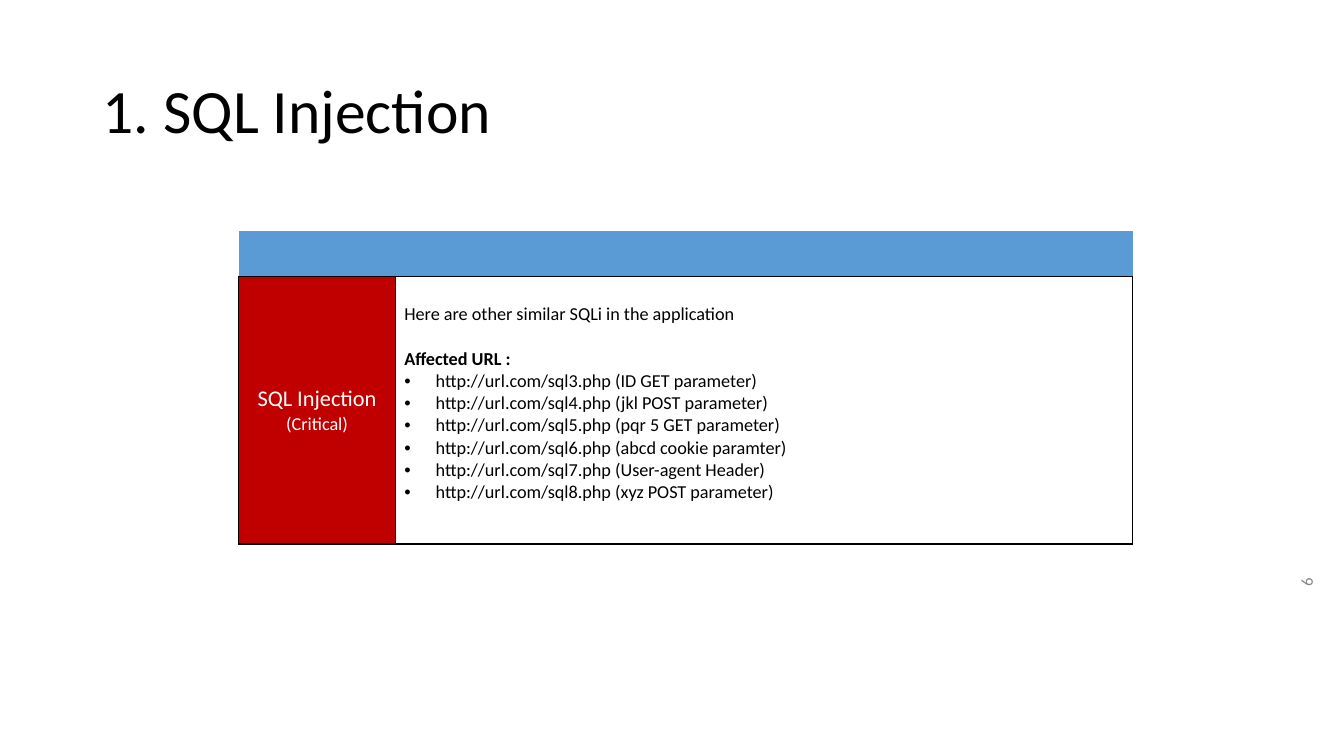
from lxml import etree
from pptx import Presentation
from pptx import util as u
from pptx.dml.color import RGBColor
from pptx.enum import text
from pptx.oxml import ns

COLORS = {"black": "000000", "white": "FFFFFF", "gray": "888888",
          "header": "5B9BD5", "critical": "C00000"}
FONT = "Calibri"
INSETS = {"margin_left": u.Cm(0.25), "margin_right": u.Cm(0.25),
          "margin_top": u.Cm(0.13), "margin_bottom": u.Cm(0.13)}
CELL_INSETS = {**INSETS, "margin_left": u.Cm(0.23), "margin_right": u.Cm(0.23)}
MIDDLE = text.MSO_ANCHOR.MIDDLE
AFFECTED_URLS = [
    "http://url.com/sql3.php (ID GET parameter)",
    "http://url.com/sql4.php (jkl POST parameter)",
    "http://url.com/sql5.php (pqr 5 GET parameter)",
    "http://url.com/sql6.php (abcd cookie paramter)",
    "http://url.com/sql7.php (User-agent Header)",
    "http://url.com/sql8.php (xyz POST parameter)",
]


def apply(target, values):
    for name, value in values.items():
        setattr(target, name, value)


def add_bullet(paragraph):
    properties = paragraph._p.get_or_add_pPr()
    properties.set("marL", str(u.Cm(0.79)))
    properties.set("indent", str(-u.Cm(0.79)))
    etree.SubElement(properties, ns.qn("a:buFont"), typeface="Arial")
    etree.SubElement(properties, ns.qn("a:buChar"), char="•")


def write(frame, lines):
    """Write (wording, size, color, options) lines as paragraphs."""
    for index, (wording, size, color, options) in enumerate(lines):
        paragraph = frame.add_paragraph() if index else frame.paragraphs[0]
        if options.get("bullet"):
            add_bullet(paragraph)
        apply(paragraph, options.get("paragraph", {}))
        run = paragraph.add_run()
        run.text = wording
        apply(run.font, {"name": FONT, "size": u.Pt(size),
                         "bold": options.get("bold", False)})
        run.font.color.rgb = RGBColor.from_string(COLORS[color])


def add_label(slide, box, line, rotation=0):
    shape = slide.shapes.add_textbox(*map(u.Cm, box))
    shape.rotation = rotation
    apply(shape.text_frame, {**INSETS, "word_wrap": True,
                             "vertical_anchor": MIDDLE})
    write(shape.text_frame, [line])


def style_cell(cell, fill, bordered_sides):
    """Fill a cell and draw a thin black line on the sides named, none elsewhere."""
    properties = cell._tc.get_or_add_tcPr()
    for side in "LRTB":
        line = etree.SubElement(properties, ns.qn(f"a:ln{side}"), w=str(u.Pt(1)))
        if side in bordered_sides:
            solid = etree.SubElement(line, ns.qn("a:solidFill"))
            etree.SubElement(solid, ns.qn("a:srgbClr"), val=COLORS["black"])
        else:
            etree.SubElement(line, ns.qn("a:noFill"))
    cell.fill.solid()
    cell.fill.fore_color.rgb = RGBColor.from_string(COLORS[fill])


def add_finding_table(slide, box):
    left, top, width, height = box
    label_width, header_height = 3.94, 1.14
    table = slide.shapes.add_table(2, 2, *map(u.Cm, box)).table
    apply(table, {"first_row": False, "horz_banding": False})
    for column, size in zip(table.columns, (label_width, width - label_width)):
        column.width = u.Cm(size)
    for row, size in zip(table.rows, (header_height, height - header_height)):
        row.height = u.Cm(size)

    for cell in table.rows[0].cells:
        style_cell(cell, "header", "B")
    severity, details = table.rows[1].cells
    style_cell(severity, "critical", "LRTB")
    style_cell(details, "white", "LRTB")

    apply(severity, {**CELL_INSETS, "vertical_anchor": MIDDLE})
    centered = {"paragraph": {"alignment": text.PP_ALIGN.CENTER}}
    write(severity.text_frame, [("SQL Injection", 16, "white", centered),
                                ("(Critical)", 13, "white", centered)])

    apply(details, {**CELL_INSETS, "margin_top": u.Cm(0.69)})
    heading = {"bold": True, "paragraph": {"space_before": u.Pt(16)}}
    write(details.text_frame, [
        ("Here are other similar SQLi in the application", 13, "black", {}),
        ("Affected URL :", 13, "black", heading),
        *((url, 13, "black", {"bullet": True}) for url in AFFECTED_URLS),
    ])


def main():
    presentation = Presentation()
    apply(presentation, {"slide_width": u.Cm(33.87), "slide_height": u.Cm(19.05)})
    slide = presentation.slides.add_slide(presentation.slide_layouts[6])
    add_label(slide, (31.09, 15.52, 3.66, 1.27),
              ("6", 12, "gray", {"paragraph": {"alignment": text.PP_ALIGN.RIGHT}}),
              rotation=270)
    add_label(slide, (2.34, 1.02, 29.21, 3.68),
              ("1. SQL Injection", 44, "black", {"paragraph": {"line_spacing": 0.9}}))
    add_finding_table(slide, (6.02, 5.82, 22.53, 7.89))
    presentation.save("out.pptx")


if __name__ == "__main__":
    main()
